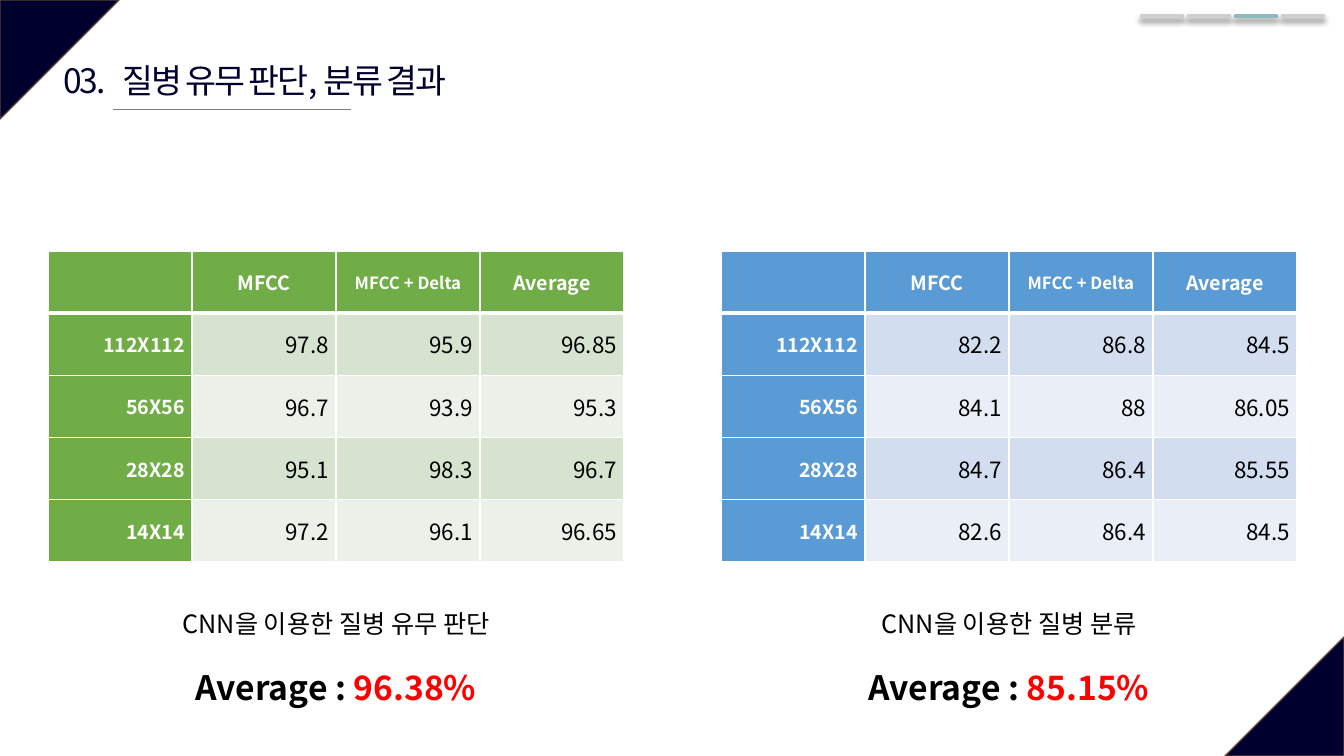
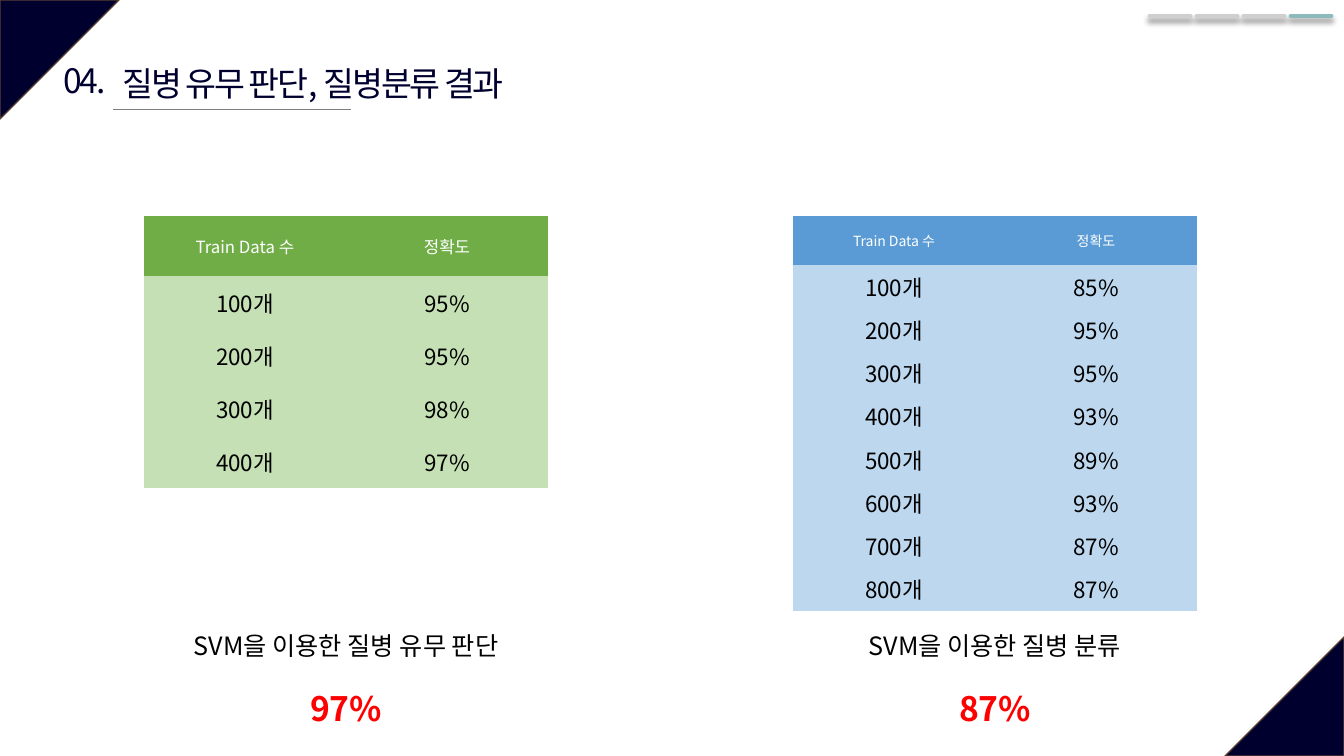
from lxml.etree import SubElement as Sub
from pptx import Presentation
from pptx.dml.color import RGBColor as RGB
from pptx.enum.shapes import MSO_CONNECTOR as Link, MSO_SHAPE as Kind
from pptx.enum.text import MSO_ANCHOR as Anchor, MSO_AUTO_SIZE as Auto, PP_ALIGN as Align
from pptx.oxml.ns import qn
from pptx.util import Emu, Pt

SCALE = 12192000 / 1344
PLAIN = "{2D5ABB26-0587-4C30-8999-92F81FD0307C}"


class Theme:
    face = "Noto Sans CJK KR"
    navy, brown, gray = "00002F", "5B3F33", "808080"
    teal, silver = "8DBABD", "D0CECE"
    white, black, red = "FFFFFF", "000000", "FF0000"
    green, blue = "70AD47", "5B9BD5"
    # Text styles: size, colour, bold, letter spacing in 1/100 pt
    title = (24, navy, False, -150)
    note = (18, black, False, 0)
    label = (24, black, True, 0)
    score = (24, red, True, 0)
    head = (14, white, True, 0)
    tight = (12, white, True, 0)
    light = (12, white, False, 0)
    small = (10, white, False, 0)
    data = (16, black, False, 0)


def px(*nums):
    """Turn pixel lengths into EMU."""
    return [Emu(round(n * SCALE)) for n in nums]


def write(frame, parts, align=Align.LEFT, space=None):
    """Fill the first paragraph with (text, style) parts."""
    para = frame.paragraphs[0]
    para.alignment, para.line_spacing = align, space
    for text, (size, color, bold, gap) in parts:
        run = para.add_run()
        run.text = text
        for key, val in {"size": Pt(size), "bold": bold, "name": Theme.face}.items():
            setattr(run.font, key, val)
        run.font.color.rgb = RGB.from_string(color)
        props = run.font._element
        props.set("spc", str(gap))
        Sub(props, qn("a:ea"), typeface=Theme.face)


SIZES = ["112X112", "56X56", "28X28", "14X14"]
HEADS = [("", Theme.head), ("MFCC", Theme.head),
         ("MFCC + Delta", Theme.tight), ("Average", Theme.head)]
FOUND = [["97.8", "95.9", "96.85"], ["96.7", "93.9", "95.3"],
         ["95.1", "98.3", "96.7"], ["97.2", "96.1", "96.65"]]
SORTED = [["82.2", "86.8", "84.5"], ["84.1", "88", "86.05"],
          ["84.7", "86.4", "85.55"], ["82.6", "86.4", "84.5"]]
RATES = [[95, 95, 98, 97], [85, 95, 95, 93, 89, 93, 87, 87]]

# Each side: centre, header height, table height, header fill, row fills,
# header cells, body rows, caption, result
cnn = [
    (336, 62, 311, Theme.green, ["D5E3CF", "EBF1E9"], HEADS,
     [[s, *row] for s, row in zip(SIZES, FOUND)], "CNN을 이용한 질병 유무 판단",
     [("Average : ", Theme.label), ("96.38%", Theme.score)]),
    (1009, 62, 311, Theme.blue, ["D2DEEF", "EAEFF7"], HEADS,
     [[s, *row] for s, row in zip(SIZES, SORTED)], "CNN을 이용한 질병 분류",
     [("Average :", Theme.label), (" 85.15%", Theme.score)]),
]
found, kinds = [[[f"{n}00개", f"{rate}%"] for n, rate in enumerate(rates, 1)]
                for rates in RATES]
svm = [
    (346, 60, 272, Theme.green, ["C5E0B4"],
     [("Train Data 수", Theme.light), ("정확도", Theme.light)],
     found, "SVM을 이용한 질병 유무 판단", [("97%", Theme.score)]),
    (995, 49, 395, Theme.blue, ["BDD7EE"],
     [("Train Data 수", Theme.small), ("정확도", Theme.small)],
     kinds, "SVM을 이용한 질병 분류", [("87%", Theme.score)]),
]
# Each page: number, title, title top, mark left, lit mark, table top,
# table width, caption top, result top, grid, sides
pages = [
    ("03.", "질병 유무 판단, 분류 결과", 55, 1142, 2, 251, 576, 573, 662, True, cnn),
    ("04.", "질병 유무 판단, 질병분류 결과", 58, 1150, 3, 216, 404, 595, 683, False, svm),
]

deck = Presentation()
deck.slide_width, deck.slide_height = px(1344, 756)

for num, title, top, left, lit, grid_y, wide, note_y, score_y, grid, sides in pages:
    slide = deck.slides.add_slide(deck.slide_layouts[6])
    shapes = slide.shapes

    for x, y, turn in [(0, 0, 90), (1225, 637, 270)]:
        corner = shapes.add_shape(Kind.ISOSCELES_TRIANGLE, *px(x, y, 119, 119))
        corner.adjustments[0] = 0
        corner.rotation = turn
        corner.shadow.inherit = False
        corner.fill.solid()
        corner.fill.fore_color.rgb = RGB.from_string(Theme.navy)
        corner.line.color.rgb = RGB.from_string(Theme.brown)
        corner.line.width = Pt(1)

    # Title rule, then the progress marks
    lines = [(113, 109, 238, Theme.gray, 0.5, False)]
    lines += [(left + 47 * i, 16, 40, Theme.teal if i == lit else Theme.silver, 3.5, True)
              for i in range(4)]
    for x, y, w, color, weight, mark in lines:
        line = shapes.add_connector(Link.STRAIGHT, *px(x, y, x + w, y))
        line.line.color.rgb = RGB.from_string(color)
        line.line.width = Pt(weight)
        glow = Sub(line._element.spPr, qn("a:effectLst"))
        if mark:
            line.line._get_or_add_ln().set("cap", "rnd")
            cast = Sub(glow, qn("a:outerShdw"), blurRad=str(Pt(4)), dist=str(Pt(3)),
                       dir="5400000", algn="t", rotWithShape="0")
            shade = Sub(cast, qn("a:srgbClr"), val=Theme.black)
            Sub(shade, qn("a:alpha"), val="40000")

    texts = [((113, top, 694, 50), [(title, Theme.title)], Align.LEFT, None, True),
             ((52, 55, 65, 50), [(num, Theme.title)], Align.CENTER, None, False)]

    for mid, head_h, tall, dark, tints, heads, body, note, score in sides:
        texts += [((mid - 198, note_y, 396, 61), [(note, Theme.note)], Align.CENTER, 2.0, True),
                  ((mid - 164, score_y, 328, 50), score, Align.CENTER, None, True)]
        box = px(mid - wide / 2, grid_y, wide, tall)
        table = shapes.add_table(len(body) + 1, len(heads), *box).table
        table._tbl.tblPr.find(qn("a:tableStyleId")).text = PLAIN
        for col in table.columns:
            col.width, = px(wide / len(heads))
        for r, row in enumerate(table.rows):
            row.height, = px(head_h if r == 0 else (tall - head_h) / len(body))
            for c, cell in enumerate(row.cells):
                key = grid and c == 0
                side, = px(7)
                for name, val in {"margin_left": side, "margin_right": side,
                                  "margin_top": 0, "margin_bottom": 0,
                                  "vertical_anchor": Anchor.MIDDLE}.items():
                    setattr(cell, name, val)
                if r == 0:
                    part = heads[c]
                else:
                    part = (body[r - 1][c], Theme.head if key else Theme.data)
                write(cell.text_frame, [part], Align.RIGHT if grid and r else Align.CENTER)
                if grid:
                    for tag in ["lnL", "lnR", "lnT", "lnB"]:
                        thick = (r, tag) in [(0, "lnB"), (1, "lnT")]
                        edge = Sub(cell._tc.get_or_add_tcPr(), qn("a:" + tag),
                                   w=str(Pt(3 if thick else 1)))
                        Sub(Sub(edge, qn("a:solidFill")), qn("a:srgbClr"), val=Theme.white)
                cell.fill.solid()
                fill = dark if r == 0 or key else tints[(r - 1) % len(tints)]
                cell.fill.fore_color.rgb = RGB.from_string(fill)

    for box, parts, align, space, wrap in texts:
        frame = shapes.add_textbox(*px(*box)).text_frame
        frame.word_wrap = wrap
        frame.auto_size = Auto.SHAPE_TO_FIT_TEXT
        write(frame, parts, align, space)

deck.save("out.pptx")
